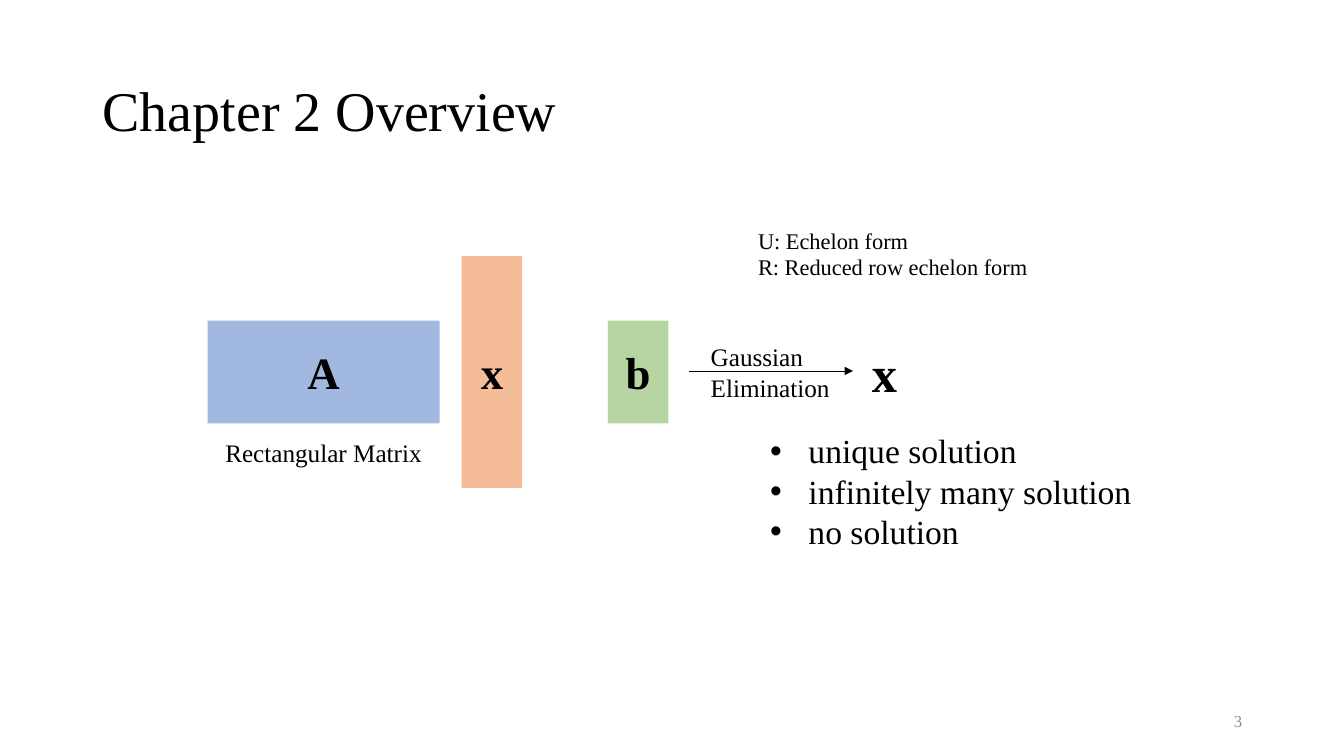
from lxml import etree
from pptx import Presentation
from pptx.dml.color import RGBColor
from pptx.enum.shapes import MSO_CONNECTOR, MSO_SHAPE
from pptx.enum.text import MSO_ANCHOR, PP_ALIGN
from pptx.oxml.ns import qn
from pptx.util import Emu, Pt

PX = 9144
LEFT, CENTER, RIGHT = PP_ALIGN.LEFT, PP_ALIGN.CENTER, PP_ALIGN.RIGHT
TOP, MIDDLE = MSO_ANCHOR.TOP, MSO_ANCHOR.MIDDLE
RECTANGLE, STRAIGHT = MSO_SHAPE.RECTANGLE, MSO_CONNECTOR.STRAIGHT
BLACK, GRAY = "000000", "8C8C8C"
BLUE, ORANGE, GREEN = "4472C4", "ED7D31", "70AD47"


def px(*lengths):
    return [Emu(length * PX) for length in lengths]


def rgb(value):
    return RGBColor.from_string(value)


class SlideBuilder:
    """Hold the text style and the current slide, and add its elements."""

    def __init__(self, page, font="Times New Roman"):
        self.page = page
        self.font = font

    def fill_text(self, shape, lines, size, color=BLACK, bold=False,
                  align=LEFT, anchor=TOP, bullet_indent=0, spacing=None):
        frame = shape.text_frame
        frame.word_wrap = True
        frame.vertical_anchor = anchor
        frame.text = "\n".join(lines)
        for para in frame.paragraphs:
            para.alignment = align
            if spacing:
                para.line_spacing = spacing
            if bullet_indent:
                self.bullet(para, bullet_indent)
            for span in para.runs:
                span.font.name = self.font
                span.font.size = Pt(size)
                span.font.bold = bold
                span.font.color.rgb = rgb(color)

    def bullet(self, para, indent):
        properties = para._p.get_or_add_pPr()
        properties.set("marL", str(indent * PX))
        properties.set("indent", str(-indent * PX))
        etree.SubElement(properties, qn("a:buFont"), typeface="Arial")
        etree.SubElement(properties, qn("a:buChar"), char="•")

    def text(self, bounds, lines, size, **style):
        box = self.page.shapes.add_textbox(*px(*bounds))
        self.fill_text(box, lines, size, **style)

    def matrix(self, bounds, name, color):
        block = self.page.shapes.add_shape(RECTANGLE, *px(*bounds))
        block.shadow.inherit = False
        block.fill.solid()
        block.fill.fore_color.rgb = rgb(color)
        fill = block._element.spPr.find(qn("a:solidFill"))
        etree.SubElement(fill[0], qn("a:alpha"), val="50000")
        block.line.fill.background()
        self.fill_text(block, [name], 32, bold=True, align=CENTER, anchor=MIDDLE)

    def arrow(self, start, end, color=BLACK, width=0.5):
        arrow = self.page.shapes.add_connector(STRAIGHT, *px(*start, *end))
        arrow.line.color.rgb = rgb(color)
        arrow.line.width = Pt(width)
        properties = arrow._element.spPr
        etree.SubElement(properties.find(qn("a:ln")), qn("a:tailEnd"), type="triangle")
        etree.SubElement(properties, qn("a:effectLst"))


def main():
    deck = Presentation()
    deck.slide_width, deck.slide_height = px(1333, 750)
    builder = SlideBuilder(deck.slides.add_slide(deck.slide_layouts[6]))

    builder.text((92, 40, 1150, 145), ["Chapter 2 Overview"], 40,
                 anchor=MIDDLE, spacing=0.9)
    builder.text((942, 695, 300, 40), ["3"], 12,
                 color=GRAY, align=RIGHT, anchor=MIDDLE)

    builder.matrix((206, 318, 230, 102), "A", BLUE)
    builder.matrix((458, 254, 60, 230), "x", ORANGE)
    builder.matrix((603, 318, 60, 102), "b", GREEN)
    builder.text((188, 429, 266, 40), ["Rectangular Matrix"], 18, align=CENTER)

    builder.text((695, 334, 165, 71), ["Gaussian Elimination"], 18)
    builder.arrow((683, 368), (846, 368))
    builder.text((855, 334, 53, 71), ["x"], 36, bold=True, anchor=MIDDLE)

    solutions = ["unique solution", "infinitely many solution", "no solution"]
    builder.text((754, 422, 392, 131), solutions, 24, bullet_indent=38)
    forms = ["U: Echelon form", "R: Reduced row echelon form"]
    builder.text((742, 220, 399, 64), forms, 16)

    deck.save("out.pptx")


if __name__ == "__main__":
    main()
